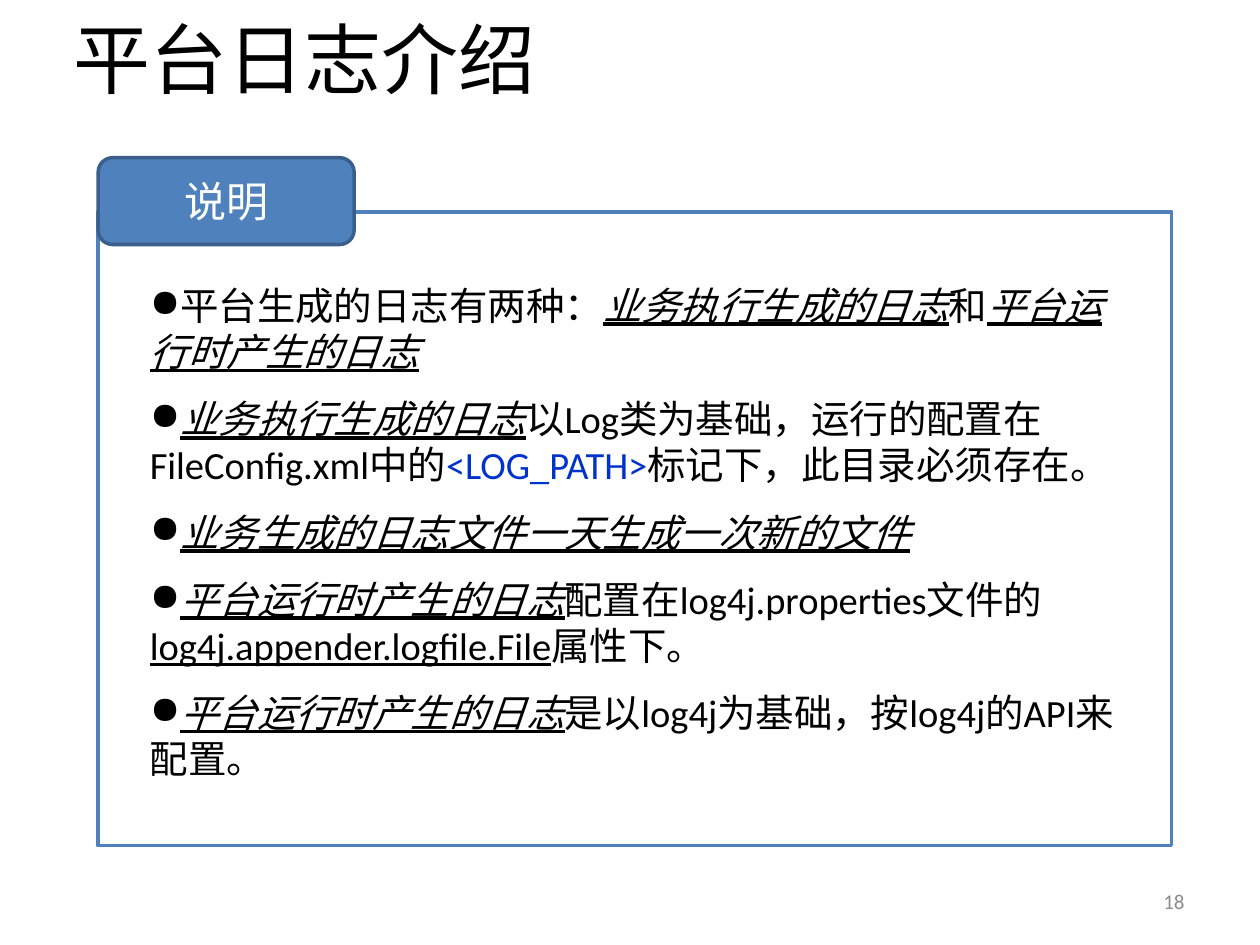
from lxml.etree import SubElement
from pptx import Presentation
from pptx.dml.color import RGBColor
from pptx.enum.shapes import MSO_SHAPE
from pptx.enum.text import MSO_ANCHOR, MSO_AUTO_SIZE, PP_ALIGN
from pptx.oxml.ns import qn
from pptx.util import Cm, Pt

COLORS = {"black": "000000", "white": "FFFFFF", "blue": "4F81BD",
          "edge": "3A5F8C", "tag": "0033CC", "gray": "8C8C8C"}

TITLE = "平台日志介绍"
LABEL = "说明"
NUMBER = "18"
TERM = {"italic": True, "underline": True}
JOB = ("业务执行生成的日志", TERM)
RUNTIME = ("平台运行时产生的日志", TERM)
NOTES = [
    [("平台生成的日志有两种：", {}), JOB, ("和", {}), RUNTIME],
    [JOB, ("以Log类为基础，运行的配置在FileConfig.xml中的", {}),
     ("<LOG_PATH>", {"color": "tag"}), ("标记下，此目录必须存在。", {})],
    [("业务生成的日志文件一天生成一次新的文件", TERM)],
    [RUNTIME, ("配置在log4j.properties文件的", {}),
     ("log4j.appender.logfile.File", {"underline": True}), ("属性下。", {})],
    [RUNTIME, ("是以log4j为基础，按log4j的API来配置。", {})],
]

# left, top, width, height in cm
TITLE_BOX = (0.79, 0, 10.72, 2.34)
FRAME_BOX = (1.98, 4.27, 21.64, 12.78)
LABEL_BOX = (1.98, 3.18, 5.16, 1.75)
NOTES_BOX = (2.77, 5.56, 20.45, 10.44)
NUMBER_BOX = (18.21, 17.65, 5.92, 1.02)


def rgb(name):
    return RGBColor.from_string(COLORS[name])


def add_run(para, text, size=22, face="Calibri", color="black",
            italic=False, underline=False):
    run = para.add_run()
    run.text = text
    font = run.font
    font.size, font.name = Pt(size), face
    font.italic, font.underline = italic, underline
    font.color.rgb = rgb(color)
    SubElement(run._r.get_or_add_rPr(), qn("a:ea"), typeface=face)


def write(shape, paras, align=PP_ALIGN.LEFT, anchor=MSO_ANCHOR.TOP,
          bullet=None, after=0, **style):
    """Fill a shape with paragraphs, each a list of (text, format) runs."""
    frame = shape.text_frame
    frame.word_wrap = True
    frame.auto_size = MSO_AUTO_SIZE.NONE
    frame.vertical_anchor = anchor
    for i, runs in enumerate(paras):
        para = frame.add_paragraph() if i else frame.paragraphs[0]
        para.alignment = align
        para.space_after = Pt(after)
        if bullet:
            SubElement(para._p.get_or_add_pPr(), qn("a:buChar"), char=bullet)
        for text, own in runs:
            add_run(para, text, **{**style, **own})


def add_box(slide, kind, box, fill, line):
    shape = slide.shapes.add_shape(kind, *map(Cm, box))
    shape.shadow.inherit = False
    shape.fill.solid()
    shape.fill.fore_color.rgb = rgb(fill)
    shape.line.color.rgb = rgb(line)
    shape.line.width = Pt(2)
    return shape


def add_text(slide, box, paras, **style):
    write(slide.shapes.add_textbox(*map(Cm, box)), paras, **style)


def main():
    deck = Presentation()
    deck.slide_width, deck.slide_height = Cm(25.4), Cm(19.05)
    slide = deck.slides.add_slide(deck.slide_layouts[5])

    title = slide.shapes.title
    title.left, title.top, title.width, title.height = map(Cm, TITLE_BOX)
    write(title, [[(TITLE, {})]], align=PP_ALIGN.CENTER,
          anchor=MSO_ANCHOR.MIDDLE, size=44, face="Noto Sans CJK SC")

    add_box(slide, MSO_SHAPE.RECTANGLE, FRAME_BOX, "white", "blue")
    label = add_box(slide, MSO_SHAPE.ROUNDED_RECTANGLE, LABEL_BOX,
                    "blue", "edge")
    write(label, [[(LABEL, {})]], align=PP_ALIGN.CENTER,
          anchor=MSO_ANCHOR.MIDDLE, size=24, color="white")

    add_text(slide, NOTES_BOX, NOTES, bullet="●", after=12)
    add_text(slide, NUMBER_BOX, [[(NUMBER, {})]], align=PP_ALIGN.RIGHT,
             anchor=MSO_ANCHOR.MIDDLE, size=12, color="gray")
    deck.save("out.pptx")


if __name__ == "__main__":
    main()
